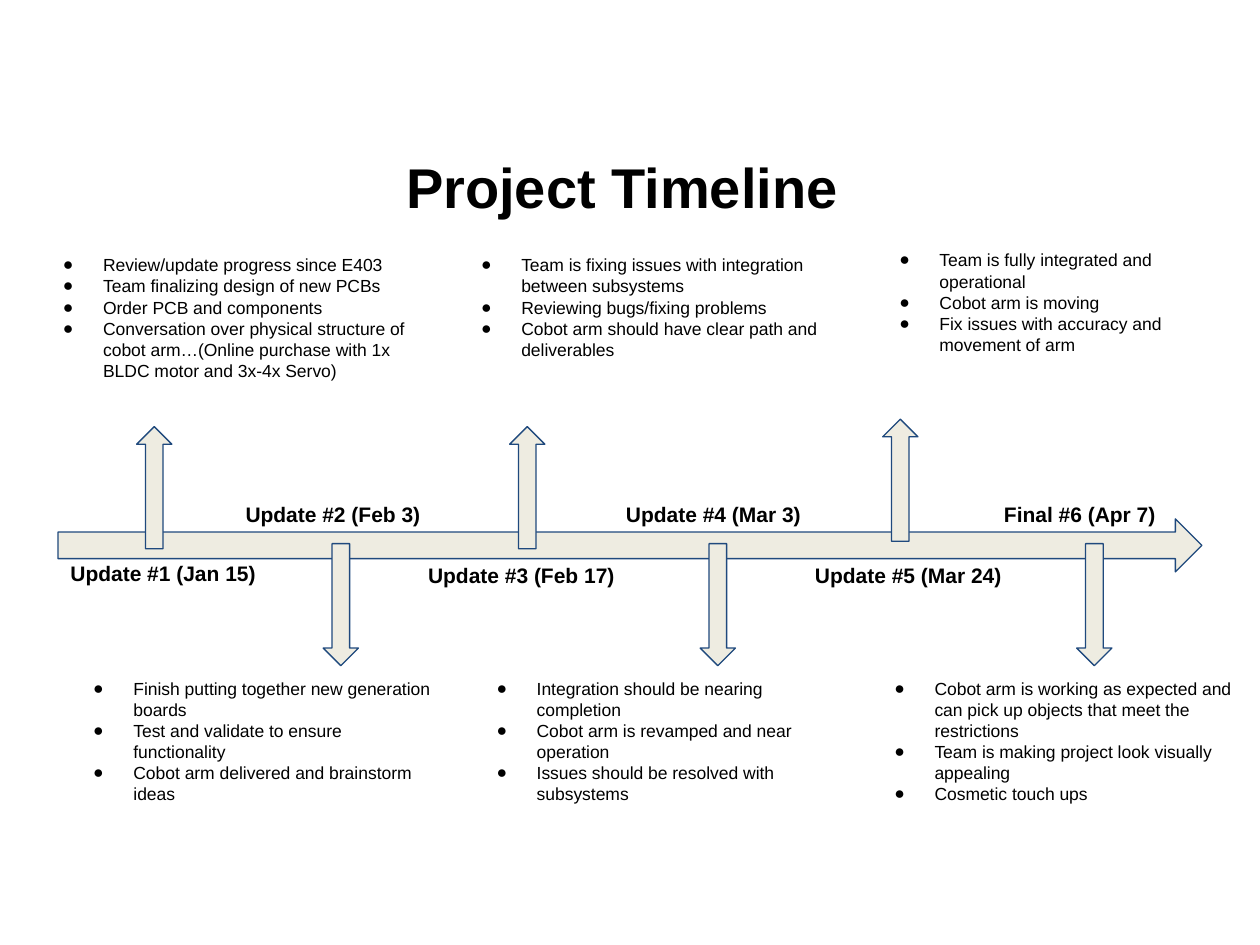
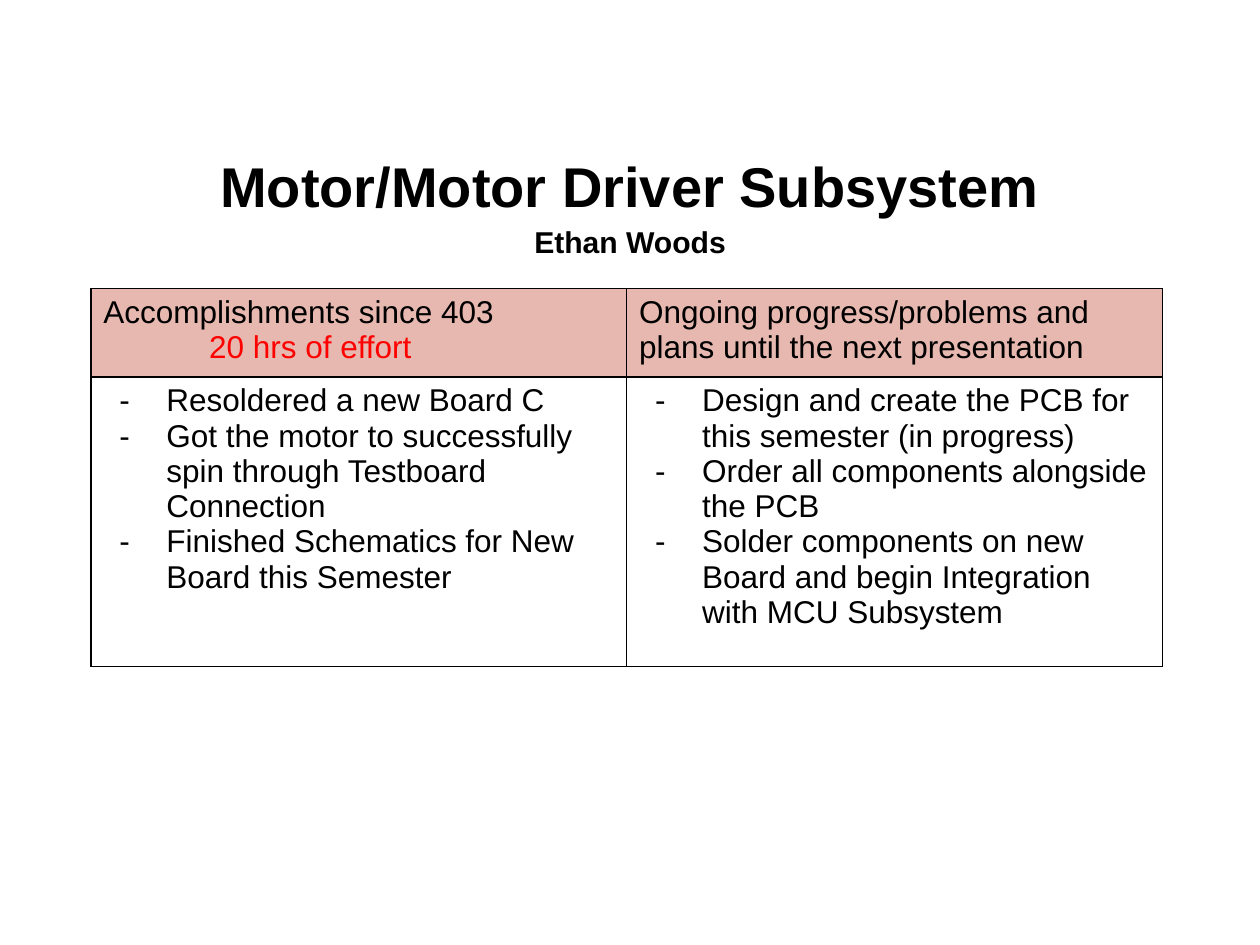
from lxml import etree
from pptx import Presentation
from pptx.dml.color import RGBColor
from pptx.enum import shapes, text
from pptx.oxml import ns
from pptx.util import Cm, Pt

BLACK = RGBColor(0, 0, 0)
RED = RGBColor(0xFF, 0, 0)
CREAM = RGBColor(0xEE, 0xEC, 0xE1)
NAVY = RGBColor(0x1F, 0x49, 0x7D)
PINK = RGBColor(0xE6, 0xB8, 0xAF)

BASE = {"name": "Arial", "bold": False}
TITLE = {"size": Pt(32), "bold": True}
NAME = {"size": Pt(17.2), "bold": True}
LABEL = {"size": Pt(12), "bold": True}
NOTE = {"size": Pt(10)}
CELL = {"size": Pt(18)}
DOT = ("●", 0.81)
DASH = ("-", 0.95)

STEPS = [
    {"label": "Update #1 (Jan 15)", "spot": (1.17, 11.05), "arrow": (3.11, 9.83), "box": (0.56, 4.88),
     "notes": ["Review/update progress since E403",
               "Team finalizing design of new PCBs",
               "Order PCB and components",
               "Conversation over physical structure of cobot arm…"
               "(Online purchase with 1x BLDC motor and 3x-4x Servo)"]},
    {"label": "Update #2 (Feb 3)", "spot": (4.7, 9.86), "arrow": (6.87, 12.19), "box": (1.17, 13.41),
     "notes": ["Finish putting together new generation boards",
               "Test and validate to ensure functionality",
               "Cobot arm delivered and brainstorm ideas"]},
    {"label": "Update #3 (Feb 17)", "spot": (8.38, 11.1), "arrow": (10.63, 9.83), "box": (8.99, 4.88),
     "notes": ["Team is fixing issues with integration between subsystems",
               "Reviewing bugs/fixing problems",
               "Cobot arm should have clear path and deliverables"]},
    {"label": "Update #4 (Mar 3)", "spot": (12.37, 9.86), "arrow": (14.47, 12.19), "box": (9.3, 13.41),
     "notes": ["Integration should be nearing completion",
               "Cobot arm is revamped and near operation",
               "Issues should be resolved with subsystems"]},
    {"label": "Update #5 (Mar 24)", "spot": (16.18, 11.1), "arrow": (18.15, 9.68), "box": (17.42, 4.78),
     "notes": ["Team is fully integrated and operational",
               "Cobot arm is moving",
               "Fix issues with accuracy and movement of arm"]},
    {"label": "Final #6 (Apr 7)", "spot": (19.99, 9.86), "arrow": (22.06, 12.19), "box": (17.32, 13.41),
     "notes": ["Cobot arm is working as expected and can pick up objects that meet the restrictions",
               "Team is making project look visually appealing",
               "Cosmetic touch ups"]},
]

HEADS = [
    [("Accomplishments since 403", BLACK, 0), ("20 hrs of effort", RED, 2.13)],
    [("Ongoing progress/problems and plans until the next presentation", BLACK, 0)],
]
WORK = [
    ["Resoldered a new Board C",
     "Got the motor to successfully spin through Testboard Connection",
     "Finished Schematics for New Board this Semester"],
    ["Design and create the PCB for this semester (in progress)",
     "Order all components alongside the PCB",
     "Solder components on new Board and begin Integration with MCU Subsystem"],
]


def cms(*sizes):
    return [Cm(size) for size in sizes]


def assign(item, values):
    for key, value in values.items():
        setattr(item, key, value)


def write(frame, lines, mark=None):
    for num, (words, style, color, indent) in enumerate(lines):
        para = frame.add_paragraph() if num else frame.paragraphs[0]
        props = para._p.get_or_add_pPr()
        if mark:
            sign, hang = mark
            props.set("marL", str(Cm(1.27)))
            props.set("indent", str(-Cm(hang)))
            tint = etree.SubElement(props, ns.qn("a:buClr"))
            etree.SubElement(tint, ns.qn("a:srgbClr"), val=str(BLACK))
            etree.SubElement(props, ns.qn("a:buFont"), typeface="Arial")
            etree.SubElement(props, ns.qn("a:buChar"), char=sign)
        elif indent:
            props.set("marL", str(Cm(indent)))
        run = para.add_run()
        run.text = words
        assign(run.font, {**BASE, **style})
        run.font.color.rgb = color


def plain(lines, style):
    return [(line, style, BLACK, 0) for line in lines]


def start(deck, top, lines):
    slide = deck.slides.add_slide(deck.slide_layouts[5])
    title = slide.shapes.title
    left, high, wide, tall = cms(1.27, top, 22.86, 2.24)
    assign(title, {"left": left, "top": high, "width": wide, "height": tall})
    assign(title.text_frame, {"auto_size": text.MSO_AUTO_SIZE.NONE, "word_wrap": True,
                              "vertical_anchor": text.MSO_ANCHOR.MIDDLE})
    write(title.text_frame, lines)
    for para in title.text_frame.paragraphs:
        para.alignment = text.PP_ALIGN.CENTER
    return slide


def textbox(parent, place, lines, mark=None):
    frame = parent.add_textbox(*cms(*place)).text_frame
    sides = ("left", "top", "right", "bottom")
    assign(frame, {"word_wrap": True, **{f"margin_{side}": Cm(0.25) for side in sides}})
    write(frame, lines, mark)


def arrow(parent, place, turn=0):
    shape = parent.add_shape(shapes.MSO_SHAPE.RIGHT_ARROW, *cms(*place))
    shape.rotation = turn
    shape.shadow.inherit = False
    shape.fill.solid()
    shape.fill.fore_color.rgb = CREAM
    shape.line.color.rgb = NAVY
    shape.line.width = Pt(0.75)


def timeline(deck):
    slide = start(deck, 2.64, plain(["Project Timeline "], TITLE))
    group = slide.shapes.add_group_shape().shapes
    arrow(group, (1.17, 10.46, 23.06, 1.07))
    length, thick = 2.46, 0.71
    for num, step in enumerate(STEPS):
        mid, level = step["arrow"]
        turn = 90 if num % 2 else 270
        arrow(group, (mid - length / 2, level - thick / 2, length, thick), turn)
    for num, step in enumerate(STEPS):
        wide = 4.19 if num % 2 else 4.34
        textbox(group, (*step["spot"], wide, 1.07), plain([step["label"]], LABEL))
    for step in STEPS:
        textbox(slide.shapes, (*step["box"], 7.85, 3.61), plain(step["notes"], NOTE), DOT)


def border(cell):
    props = cell._tc.get_or_add_tcPr()
    for side in ("lnL", "lnR", "lnT", "lnB"):
        line = etree.SubElement(props, ns.qn(f"a:{side}"), w=str(Pt(1)))
        fill = etree.SubElement(line, ns.qn("a:solidFill"))
        etree.SubElement(fill, ns.qn("a:srgbClr"), val=str(BLACK))


def status(deck):
    lines = plain(["Motor/Motor Driver Subsystem"], TITLE) + plain(["Ethan Woods"], NAME)
    slide = start(deck, 2.92, lines)
    for para in slide.shapes.title.text_frame.paragraphs:
        para.line_spacing = 1.15
    rows = (1.78, 5.84)
    grid = slide.shapes.add_table(2, 2, *cms(1.83, 5.82, 21.6, sum(rows))).table
    assign(grid, {"first_row": False, "horz_banding": False})
    for row, tall in zip(grid.rows, rows):
        row.height = Cm(tall)
    for col, (head, work) in enumerate(zip(HEADS, WORK)):
        top, body = grid.cell(0, col), grid.cell(1, col)
        border(top)
        border(body)
        top.fill.solid()
        top.fill.fore_color.rgb = PINK
        body.fill.background()
        write(top.text_frame, [(words, CELL, color, indent) for words, color, indent in head])
        write(body.text_frame, plain(work, CELL), DASH)


def main():
    deck = Presentation()
    assign(deck, {"slide_width": Cm(25.4), "slide_height": Cm(19.05)})
    timeline(deck)
    status(deck)
    deck.save("out.pptx")


if __name__ == "__main__":
    main()
